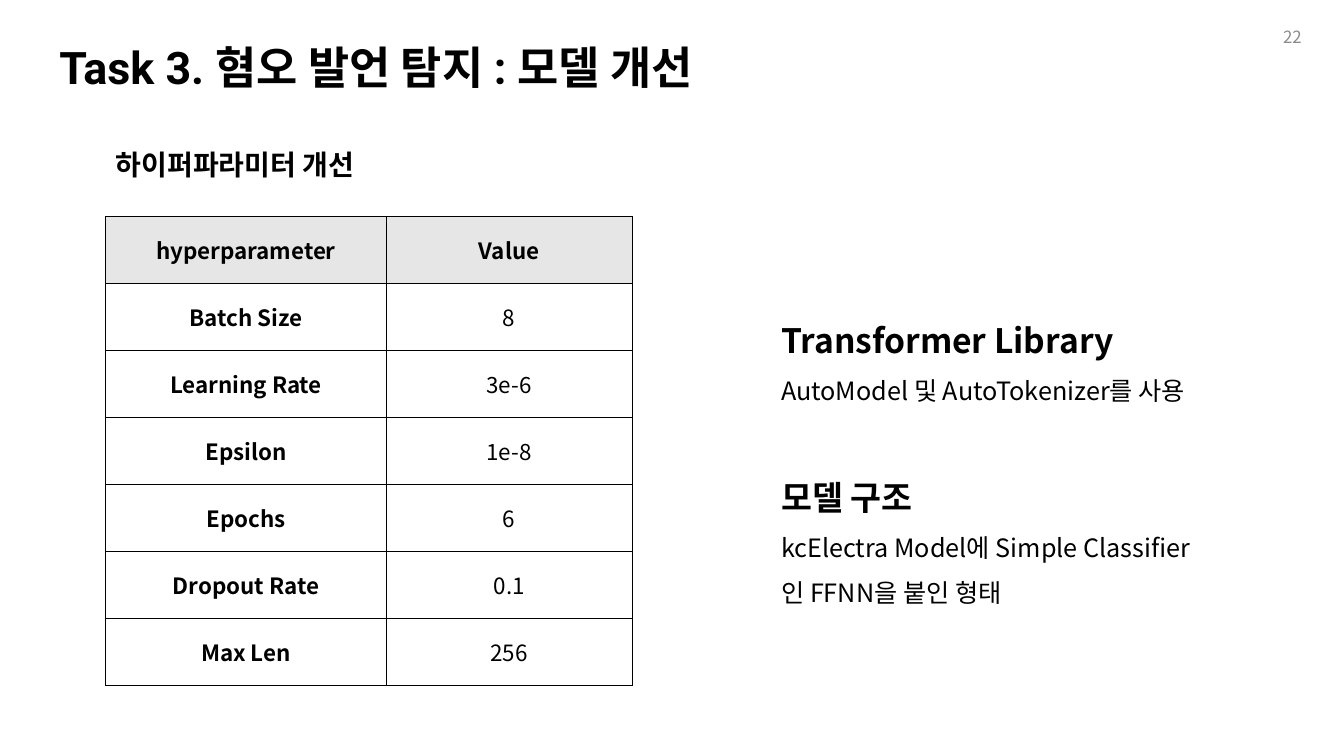
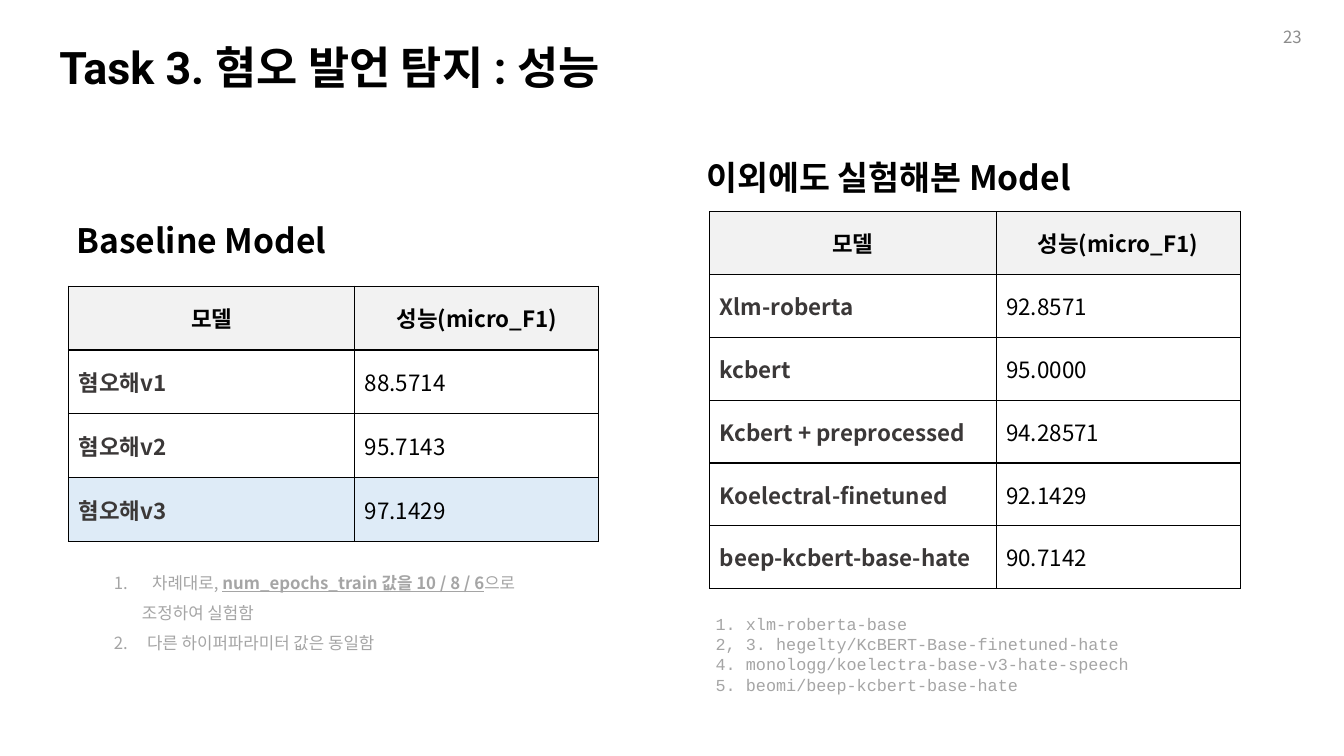
from dataclasses import dataclass

from lxml.etree import SubElement
from pptx import Presentation
from pptx.dml.color import RGBColor
from pptx.enum.text import MSO_ANCHOR as Anchor, MSO_AUTO_SIZE as AutoSize, PP_ALIGN as Align
from pptx.oxml.ns import qn
from pptx.util import Emu, Pt

PX = 9144


@dataclass(frozen=True)
class Theme:
    """Colours, fonts and type sizes of the deck."""
    ink: str = "000000"
    label: str = "3B3838"
    note: str = "A5A5A5"
    number: str = "8C8C8C"
    paper: str = "FFFFFF"
    header_warm: str = "E7E6E6"
    header_cool: str = "F2F2F2"
    highlight: str = "DEEBF7"
    display_font: str = "Roboto"
    body_font: str = "Noto Sans CJK KR"
    code_font: str = "Courier New"
    title_size: int = 32
    heading_size: int = 24
    subtitle_size: int = 20
    body_size: int = 18
    cell_size: int = 16
    note_size: int = 12
    border: int = 1


THEME = Theme()


@dataclass(frozen=True)
class Box:
    """A rectangle in px."""
    left: int
    top: int
    width: int
    height: int

    def emu(self) -> tuple[Emu, ...]:
        """Return the four lengths in EMU."""
        return tuple(px(value) for value in (self.left, self.top, self.width, self.height))


@dataclass(frozen=True)
class Span:
    """A run of text with one format."""
    text: str
    size: int = THEME.body_size
    color: str = THEME.ink
    font: str = THEME.body_font
    bold: bool = False
    underline: bool = False


@dataclass(frozen=True)
class Line:
    """A paragraph, numbered when it has a number."""
    spans: tuple[Span, ...]
    spacing: float = 1.5
    align: Align = Align.LEFT
    margin: int = 0
    number: int = 0


@dataclass(frozen=True)
class TextBlock:
    """A text box with its paragraphs."""
    box: Box
    lines: tuple[Line, ...]
    anchor: Anchor = Anchor.TOP


@dataclass(frozen=True)
class Grid:
    """A table of labels and values below a header row."""
    box: Box
    first_width: int
    rows: tuple[tuple[str, str], ...]
    header_fill: str = THEME.header_cool
    label_color: str = THEME.label
    align: Align = Align.LEFT
    highlighted: int = 0


@dataclass(frozen=True)
class Page:
    """The content of one slide."""
    topic: str
    number: int
    grids: tuple[Grid, ...]
    blocks: tuple[TextBlock, ...]


def px(value: int) -> Emu:
    """Turn px into EMU."""
    return Emu(value * PX)


def add_span(para, text: str, *, size: int, color: str, font: str,
             bold: bool = False, underline: bool = False) -> None:
    """Add formatted text to a paragraph."""
    run = para.add_run()
    run.text = text
    run.font.size = Pt(size)
    run.font.bold = bold
    run.font.underline = underline
    run.font.color.rgb = RGBColor.from_string(color)
    run.font.name = font
    SubElement(run.font._element, qn("a:ea"), typeface=THEME.body_font)


def fill_line(para, line: Line) -> None:
    """Write one paragraph with its spacing, indent and number."""
    para.alignment = line.align
    para.line_spacing = line.spacing
    properties = para._p.get_or_add_pPr()
    if line.margin:
        properties.set("marL", str(px(line.margin)))
    if line.number:
        properties.set("indent", str(-px(line.margin)))
        SubElement(properties, qn("a:buFont"), typeface="+mj-lt")
        SubElement(properties, qn("a:buAutoNum"), type="arabicPeriod", startAt=str(line.number))
    for span in line.spans:
        add_span(para, span.text, size=span.size, color=span.color, font=span.font,
                 bold=span.bold, underline=span.underline)


def add_block(slide, block: TextBlock) -> None:
    """Draw a text box."""
    frame = slide.shapes.add_textbox(*block.box.emu()).text_frame
    frame.word_wrap = True
    frame.vertical_anchor = block.anchor
    frame.auto_size = AutoSize.SHAPE_TO_FIT_TEXT if block.anchor == Anchor.TOP else AutoSize.NONE
    for index, line in enumerate(block.lines):
        fill_line(frame.add_paragraph() if index else frame.paragraphs[0], line)


def add_borders(cell) -> None:
    """Rule all four sides of a cell."""
    properties = cell._tc.get_or_add_tcPr()
    for side in ("lnL", "lnR", "lnT", "lnB"):
        border = SubElement(properties, qn(f"a:{side}"), w=str(Pt(THEME.border)))
        SubElement(SubElement(border, qn("a:solidFill")), qn("a:srgbClr"), val=THEME.ink)


def add_grid(slide, grid: Grid) -> None:
    """Draw a table with equal rows."""
    table = slide.shapes.add_table(len(grid.rows), 2, *grid.box.emu()).table
    table.horz_banding = False
    table.columns[0].width = px(grid.first_width)
    table.columns[1].width = px(grid.box.width - grid.first_width)
    for row_index, texts in enumerate(grid.rows):
        is_header = row_index == 0
        table.rows[row_index].height = Emu(px(grid.box.height) // len(grid.rows))
        if is_header:
            fill = grid.header_fill
        else:
            fill = THEME.highlight if row_index == grid.highlighted else THEME.paper
        for column_index, text in enumerate(texts):
            is_label = column_index == 0
            cell = table.cell(row_index, column_index)
            cell.vertical_anchor = Anchor.MIDDLE
            add_borders(cell)
            cell.fill.solid()
            cell.fill.fore_color.rgb = RGBColor.from_string(fill)
            color = grid.label_color if is_label and not is_header else THEME.ink
            span = Span(text, THEME.cell_size, color, bold=is_header or is_label)
            align = Align.CENTER if is_header else grid.align
            fill_line(cell.text_frame.paragraphs[0], Line((span,), 1.0, align))


def display_block(box: Box, text: str, size: int) -> TextBlock:
    """Make a title in the display font."""
    span = Span(text, size, font=THEME.display_font, bold=True)
    return TextBlock(box, (Line((span,), 0.9),), Anchor.MIDDLE)


def heading(text: str) -> Line:
    """Make a bold section heading."""
    return Line((Span(text, THEME.heading_size, bold=True),))


def note(text: str, *, font: str = THEME.body_font, strong: bool = False) -> Span:
    """Make a grey footnote span."""
    return Span(text, THEME.note_size, THEME.note, font, strong, strong)


def add_page(deck, page: Page) -> None:
    """Draw one slide with the shared title and page number."""
    slide = deck.slides.add_slide(deck.slide_layouts[6])
    title = f"Task 3. 혐오 발언 탐지 : {page.topic}"
    add_block(slide, display_block(Box(49, 37, 1150, 65), title, THEME.title_size))
    for grid in page.grids:
        add_grid(slide, grid)
    for block in page.blocks:
        add_block(slide, block)
    number = Span(str(page.number), THEME.note_size, THEME.number)
    add_block(slide, TextBlock(Box(1001, 17, 300, 40), (Line((number,), 1.0, Align.RIGHT),),
                               Anchor.MIDDLE))


SCORE_HEADER = ("모델", "성능(micro_F1)")

PAGES = (
    Page(
        "모델 개선", 22,
        (Grid(Box(105, 215, 522, 465), 278, (
            ("hyperparameter", "Value"),
            ("Batch Size", "8"),
            ("Learning Rate", "3e-6"),
            ("Epsilon", "1e-8"),
            ("Epochs", "6"),
            ("Dropout Rate", "0.1"),
            ("Max Len", "256"),
        ), THEME.header_warm, THEME.ink, Align.CENTER),),
        (
            display_block(Box(105, 133, 340, 65), "하이퍼파라미터 개선", THEME.subtitle_size),
            TextBlock(Box(765, 292, 440, 110), (
                heading("Transformer Library"),
                Line((Span("AutoModel 및 AutoTokenizer를 사용"),)),
            )),
            TextBlock(Box(765, 448, 440, 156), (
                heading("모델 구조"),
                Line((Span("kcElectra Model에 Simple Classifier인 FFNN을 붙인 형태"),)),
            )),
        ),
    ),
    Page(
        "성능", 23,
        (
            Grid(Box(68, 284, 526, 253), 284, (
                SCORE_HEADER,
                ("혐오해v1", "88.5714"),
                ("혐오해v2", "95.7143"),
                ("혐오해v3", "97.1429"),
            ), highlighted=3),
            Grid(Box(704, 210, 526, 374), 284, (
                SCORE_HEADER,
                ("Xlm-roberta", "92.8571"),
                ("kcbert", "95.0000"),
                ("Kcbert + preprocessed", "94.28571"),
                ("Koelectral-finetuned", "92.1429"),
                ("beep-kcbert-base-hate", "90.7142"),
            )),
        ),
        (
            TextBlock(Box(691, 131, 440, 63), (heading("이외에도 실험해본 Model"),)),
            TextBlock(Box(66, 193, 440, 63), (heading("Baseline Model"),)),
            TextBlock(Box(103, 553, 449, 97), (
                Line((
                    note("차례대로, "),
                    note("num_epochs_train 값을 10 / 8 / 6", strong=True),
                    note("으로"),
                ), margin=38, number=1),
                Line((note("조정하여 실험함"),), margin=28),
                Line((note("다른 하이퍼파라미터 값은 동일함"),), margin=33, number=2),
            )),
            TextBlock(Box(700, 604, 554, 91), tuple(
                Line((note(text, font=THEME.code_font),), 1.0)
                for text in (
                    "1. xlm-roberta-base",
                    "2, 3. hegelty/KcBERT-Base-finetuned-hate",
                    "4. monologg/koelectra-base-v3-hate-speech",
                    "5. beomi/beep-kcbert-base-hate",
                )
            )),
        ),
    ),
)


def main() -> None:
    """Build and save the deck."""
    deck = Presentation()
    deck.slide_width, deck.slide_height = px(1333), px(750)
    for page in PAGES:
        add_page(deck, page)
    deck.save("out.pptx")


if __name__ == "__main__":
    main()
